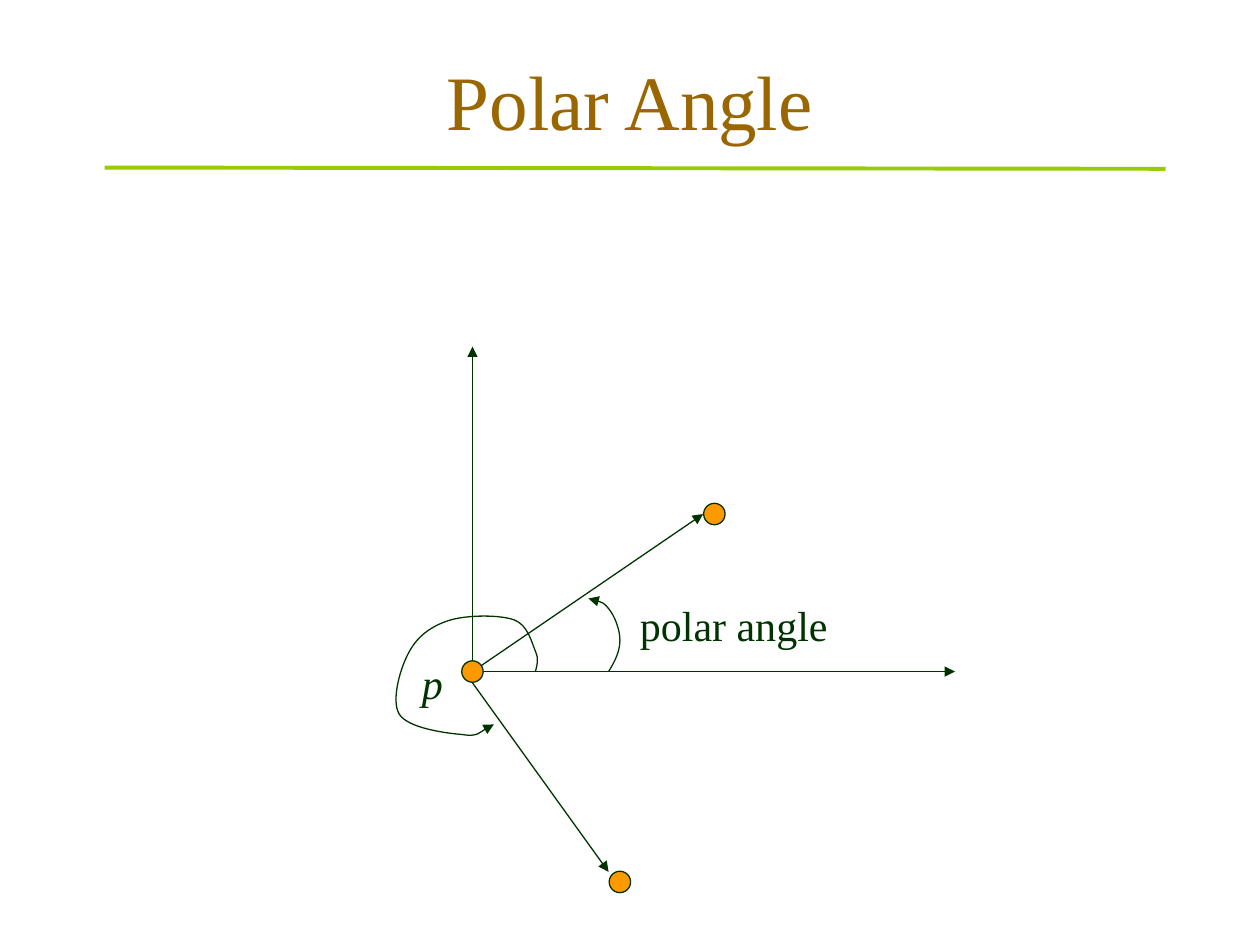
from dataclasses import dataclass

from lxml import etree
from pptx import Presentation
from pptx import util as u
from pptx.dml.color import RGBColor
from pptx.enum import shapes, text
from pptx.oxml.ns import qn

Point = tuple[float, float]


@dataclass(frozen=True)
class Theme:
    font: str = "Times New Roman"
    title: RGBColor = RGBColor(0x99, 0x66, 0x00)
    ink: RGBColor = RGBColor(0x00, 0x33, 0x00)
    dot: RGBColor = RGBColor(0xFF, 0x99, 0x00)
    rule: RGBColor = RGBColor(0x99, 0xCC, 0x00)
    title_size: float = 44
    label_size: float = 24
    thin: float = 0.75
    thick: float = 2.25


@dataclass(frozen=True)
class Segment:
    start: Point
    end: Point
    color: RGBColor
    width: float
    arrow: bool = True


@dataclass(frozen=True)
class Label:
    words: str
    left: float
    top: float
    width: float
    italic: bool = False


THEME = Theme()
DOT_SIZE = 0.17
LABEL_HEIGHT = 0.5
POLE = (3.75, 5.33)

SEGMENTS = [
    Segment((0.83, 1.33), (9.25, 1.34), THEME.rule, THEME.thick, arrow=False),
    Segment(POLE, (7.58, 5.33), THEME.ink, THEME.thin),
    Segment(POLE, (3.75, 2.75), THEME.ink, THEME.thin),
    Segment(POLE, (5.58, 4.08), THEME.ink, THEME.thin),
    Segment((3.75, 5.42), (4.83, 6.92), THEME.ink, THEME.thin),
]
DOT_CENTERS = [POLE, (5.67, 4.08), (4.92, 7.0)]
LABELS = [
    Label("p", 3.25, 5.17, 0.37, italic=True),
    Label("polar angle", 4.98, 4.71, 1.69),
]
# Each arc is a start point, then three Bezier points per curve
SMALL_ARC = [
    (4.83, 5.33),
    (4.88, 5.25), (4.92, 5.17), (4.92, 5.08),
    (4.92, 5.0), (4.88, 4.89), (4.83, 4.83),
    (4.79, 4.78), (4.73, 4.76), (4.67, 4.75),
]
LARGE_ARC = [
    (4.25, 5.33),
    (4.26, 5.28), (4.28, 5.24), (4.25, 5.17),
    (4.22, 5.1), (4.19, 4.96), (4.08, 4.92),
    (3.97, 4.88), (3.72, 4.88), (3.58, 4.92),
    (3.44, 4.96), (3.32, 5.04), (3.25, 5.17),
    (3.18, 5.29), (3.1, 5.56), (3.17, 5.67),
    (3.24, 5.78), (3.54, 5.82), (3.67, 5.83),
    (3.79, 5.85), (3.88, 5.76), (3.92, 5.75),
]


def style_line(shape, color: RGBColor, width: float, arrow: bool) -> None:
    shape.line.color.rgb = color
    shape.line.width = u.Pt(width)
    properties = shape._element.spPr
    if arrow:
        etree.SubElement(properties.get_or_add_ln(), qn("a:tailEnd"), type="triangle")
    etree.SubElement(properties, qn("a:effectLst"))


def add_run(paragraph, words: str, size: float, color: RGBColor, italic: bool = False) -> None:
    run = paragraph.add_run()
    run.text = words
    run.font.name = THEME.font
    run.font.size = u.Pt(size)
    run.font.color.rgb = color
    run.font.italic = italic


def draw_title(title, words: str) -> None:
    title.left, title.top = u.Inches(0.75), u.Inches(0.17)
    title.width, title.height = u.Inches(8.5), u.Inches(1.25)
    title.text_frame.vertical_anchor = text.MSO_ANCHOR.MIDDLE
    heading = title.text_frame.paragraphs[0]
    heading.alignment = text.PP_ALIGN.CENTER
    add_run(heading, words, THEME.title_size, THEME.title)


def draw_segment(slide, segment: Segment) -> None:
    ends = [u.Inches(value) for value in segment.start + segment.end]
    connector = slide.shapes.add_connector(shapes.MSO_CONNECTOR.STRAIGHT, *ends)
    style_line(connector, segment.color, segment.width, segment.arrow)


def draw_arc(slide, points: list[Point]) -> None:
    start, *rest = [(u.Inches(x), u.Inches(y)) for x, y in points]
    builder = slide.shapes.build_freeform(*start)
    builder.add_line_segments(rest, close=False)
    arc = builder.convert_to_shape()
    # Join every three straight steps into one cubic curve
    steps = list(arc._element.iter(qn("a:lnTo")))
    for first in range(0, len(steps), 3):
        curve = etree.Element(qn("a:cubicBezTo"))
        steps[first].addprevious(curve)
        for step in steps[first:first + 3]:
            curve.append(step[0])
            step.getparent().remove(step)
    arc.fill.background()
    style_line(arc, THEME.ink, THEME.thin, arrow=True)


def draw_dot(slide, center: Point) -> None:
    left, top = [u.Inches(value - DOT_SIZE / 2) for value in center]
    size = u.Inches(DOT_SIZE)
    dot = slide.shapes.add_shape(shapes.MSO_SHAPE.OVAL, left, top, size, size)
    dot.fill.solid()
    dot.fill.fore_color.rgb = THEME.dot
    style_line(dot, THEME.ink, THEME.thin, arrow=False)


def draw_label(slide, label: Label) -> None:
    box = slide.shapes.add_textbox(
        u.Inches(label.left), u.Inches(label.top),
        u.Inches(label.width), u.Inches(LABEL_HEIGHT))
    box.text_frame.word_wrap = False
    box.text_frame.auto_size = text.MSO_AUTO_SIZE.SHAPE_TO_FIT_TEXT
    add_run(box.text_frame.paragraphs[0], label.words, THEME.label_size, THEME.ink, label.italic)


def main() -> None:
    deck = Presentation()
    deck.slide_width, deck.slide_height = u.Inches(10), u.Inches(7.5)
    slide = deck.slides.add_slide(deck.slide_layouts[5])
    draw_title(slide.shapes.title, "Polar Angle")

    # Title rule, axes and rays
    for segment in SEGMENTS:
        draw_segment(slide, segment)

    # Angles swept from the horizontal axis
    for points in (SMALL_ARC, LARGE_ARC):
        draw_arc(slide, points)

    # Points and their labels
    for center in DOT_CENTERS:
        draw_dot(slide, center)
    for label in LABELS:
        draw_label(slide, label)

    deck.save("out.pptx")


if __name__ == "__main__":
    main()
